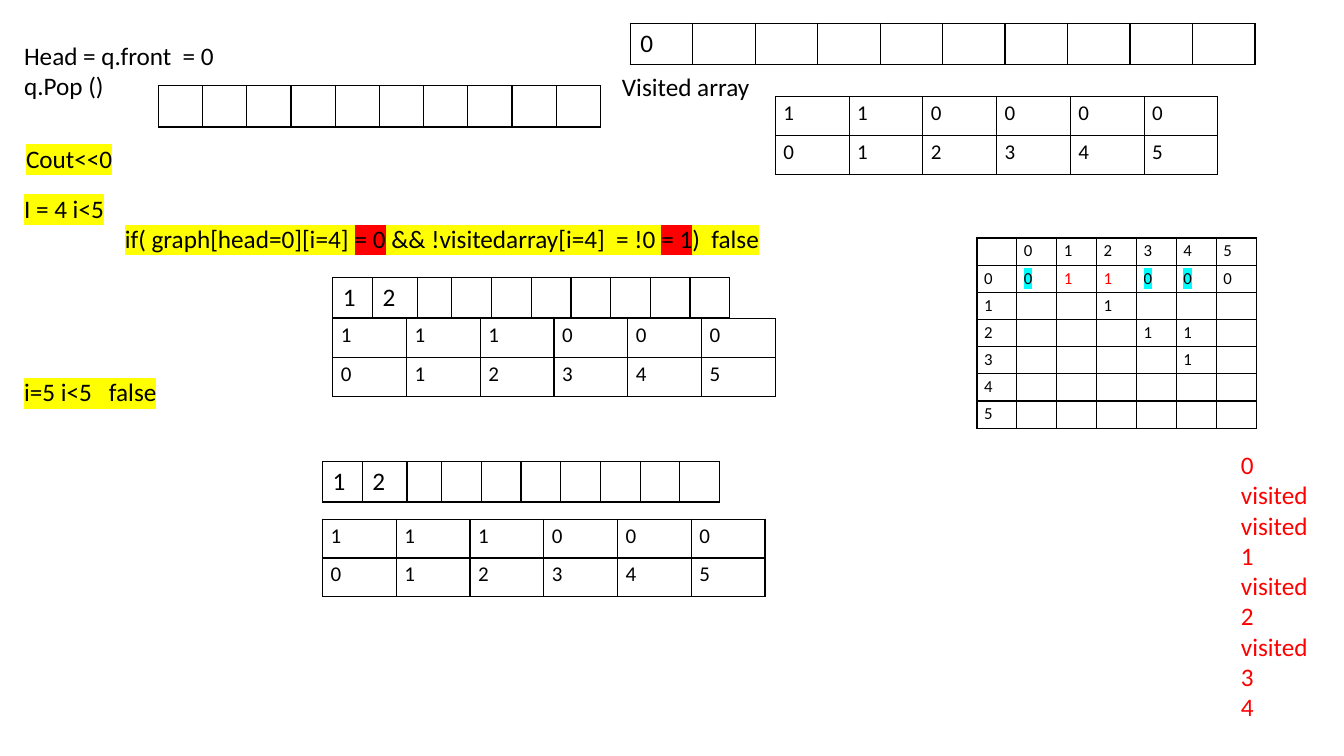
from lxml import etree
from pptx import Presentation
from pptx import util as u
from pptx.dml.color import RGBColor
from pptx.oxml import ns

BLACK, RED, YELLOW, CYAN = "000000", "FF0000", "FFFF00", "00FFFF"
WIDTH, HEIGHT = u.Inches(13.33), u.Inches(7.5)
LINE = 22  # height of one text line, in points


def color(hex_string):
    return RGBColor.from_string(hex_string)


def place(left, top, width, height):
    """Turn percentages of the slide's width and height into lengths."""
    return [round(share * side / 100) for share, side in
            ((left, WIDTH), (top, HEIGHT), (width, WIDTH), (height, HEIGHT))]


def add_fill(parent, tag, hex_string):
    fill = etree.SubElement(parent, ns.qn(tag))
    etree.SubElement(fill, ns.qn("a:srgbClr"), val=hex_string)


def write(para, spans, size=18, ink=BLACK):
    """Fill a paragraph with (text, highlight) spans."""
    para.font.name = "Calibri"
    para.font.size = u.Pt(size)
    para.font.color.rgb = color(ink)
    for words, highlight in spans:
        span = para.add_run()
        span.text = words
        if highlight:
            add_fill(span.font._element, "a:highlight", highlight)
    if not spans:
        etree.SubElement(para._p, ns.qn("a:endParaRPr"), sz=str(size * 100))


def add_text(page, area, lines, ink=BLACK, wrap=True):
    """Add a box of lines, each given as (spans, blank lines above, indent in inches)."""
    frame = page.shapes.add_textbox(*place(*area)).text_frame
    frame.word_wrap = wrap
    for number, (spans, gap, indent) in enumerate(lines):
        para = frame.add_paragraph() if number else frame.paragraphs[0]
        if indent:
            para._p.get_or_add_pPr().set("marL", str(u.Inches(indent)))
        if gap:
            para.space_before = u.Pt(gap * LINE)
        write(para, spans, ink=ink)


def add_borders(cell):
    properties = cell._tc.get_or_add_tcPr()
    for side in ("a:lnL", "a:lnR", "a:lnT", "a:lnB"):
        line = etree.SubElement(properties, ns.qn(side), w=str(u.Pt(1)))
        add_fill(line, "a:solidFill", BLACK)


def add_grid(page, area, rows, size=18, margins=(0.1, 0.05), weights=None,
             inks=None, highlights=None):
    """Add a bordered table; inks and highlights map (row, column) to a colour."""
    inks, highlights = inks or {}, highlights or {}
    weights = weights or [1] * len(rows[0])
    left, top, width, height = place(*area)
    table = page.shapes.add_table(len(rows), len(weights), left, top, width, height).table
    table.first_row = table.horz_banding = False
    for column, weight in zip(table.columns, weights):
        column.width = round(width * weight / sum(weights))
    for r, row in enumerate(rows):
        table.rows[r].height = round(height / len(rows))
        for c, value in enumerate(row):
            cell = table.cell(r, c)
            cell.margin_left = cell.margin_right = u.Inches(margins[0])
            cell.margin_top = cell.margin_bottom = u.Inches(margins[1])
            add_borders(cell)
            cell.fill.background()
            spans = [(value, highlights.get((r, c)))] if value.strip() else []
            write(cell.text_frame.paragraphs[0], spans, size, inks.get((r, c), BLACK))


def add_queue(page, area, values, weights=None):
    add_grid(page, area, [values.ljust(10)], weights=weights)


def add_visited(page, left, top, flags):
    add_grid(page, (left, top, 32.93, 10.27), [flags, "012345"], 15, (0.08, 0.04))


def add_matrix(page):
    rows = [" 012345", "0011000", "1  1   ", "2   11 ", "3    1 ", "4      ", "5      "]
    add_grid(page, (72.69, 31.47, 20.78, 25.2), rows, 12, (0.07, 0.03),
             inks={(1, c): RED for c in (2, 3)},
             highlights={(1, c): CYAN for c in (1, 4, 5)})


def add_trace(page):
    condition = [("if( graph[head=0][i=4] ", YELLOW), ("= 0", RED),
                 (" && !visitedarray[i=4]  = !0 ", YELLOW), ("= 1", RED),
                 (")  false", YELLOW)]
    add_text(page, (1.05, 4.67, 83.57, 78.13), [
        ([("Head = q.front  = 0", None)], 0, 0),
        ([("q.Pop ()", None)], 0, 0),
        ([("I = 4 i<5", YELLOW)], 3, 0),
        (condition, 0, 1),
        ([("i=5 i<5   false", YELLOW)], 4, 0),
    ])


def main():
    deck = Presentation()
    deck.slide_width, deck.slide_height = WIDTH, HEIGHT
    page = deck.slides.add_slide(deck.slide_layouts[6])

    add_text(page, (45.54, 8.8, 11.1, 5.33), [([("Visited array", None)], 0, 0)], wrap=False)
    add_queue(page, (46.89, 3.07, 46.51, 5.47), "0")
    add_trace(page)
    add_queue(page, (11.78, 11.33, 32.93, 5.47), "")
    add_matrix(page)

    visits = ["0", "visited", "visited", "1", "visited", "2", "visited", "3", "4"]
    add_text(page, (91.6, 58.8, 8.4, 37.73),
             [([(visit, None)], 0, 0) for visit in visits], RED)

    step_weights = [39, 44, 34] + [39] * 7
    for left, top in ((24.76, 36.67), (24, 61.07)):
        add_queue(page, (left, top, 29.55, 5.33), "12", step_weights)
    for left, top, flags in ((24.76, 42.13, "111000"), (57.69, 12.8, "110000"),
                             (24, 68.67, "111000")):
        add_visited(page, left, top, flags)

    add_text(page, (1.2, 18.27, 50, 5.33), [([("Cout<<0", YELLOW)], 0, 0)])
    deck.save("out.pptx")


if __name__ == "__main__":
    main()
